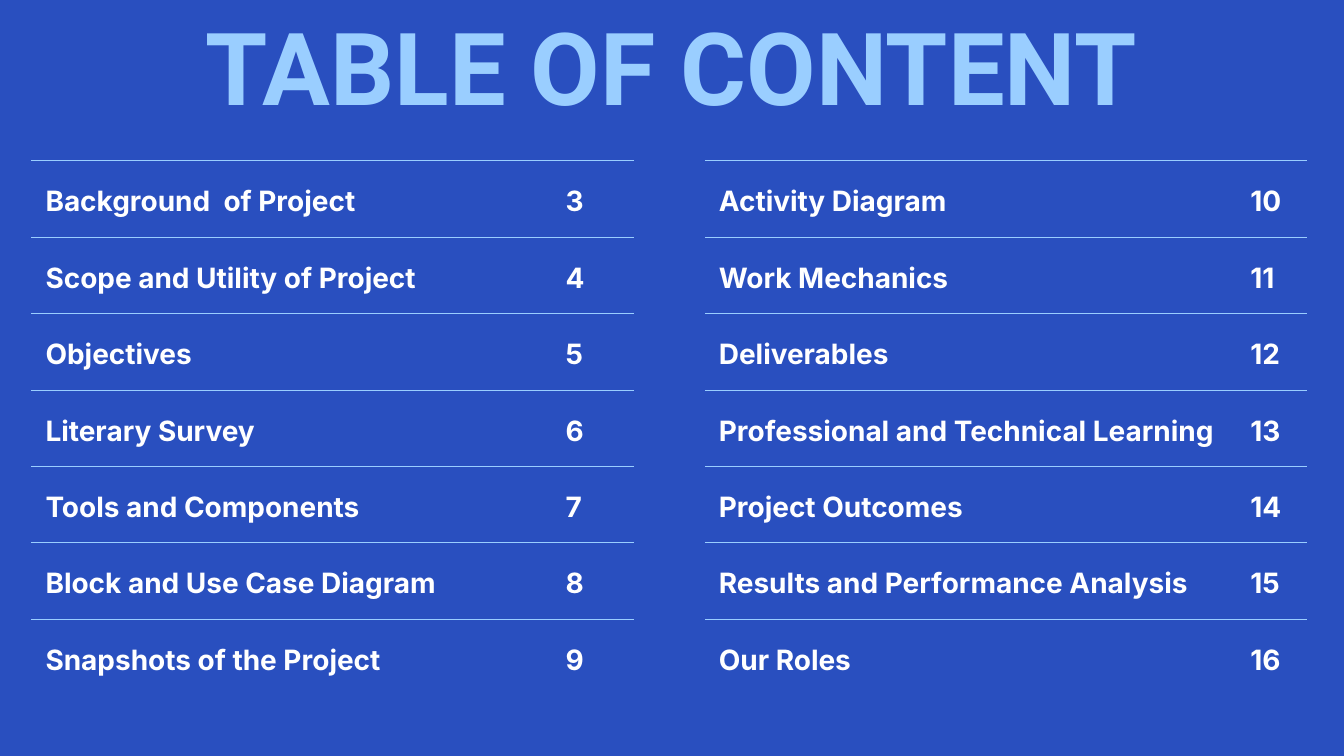
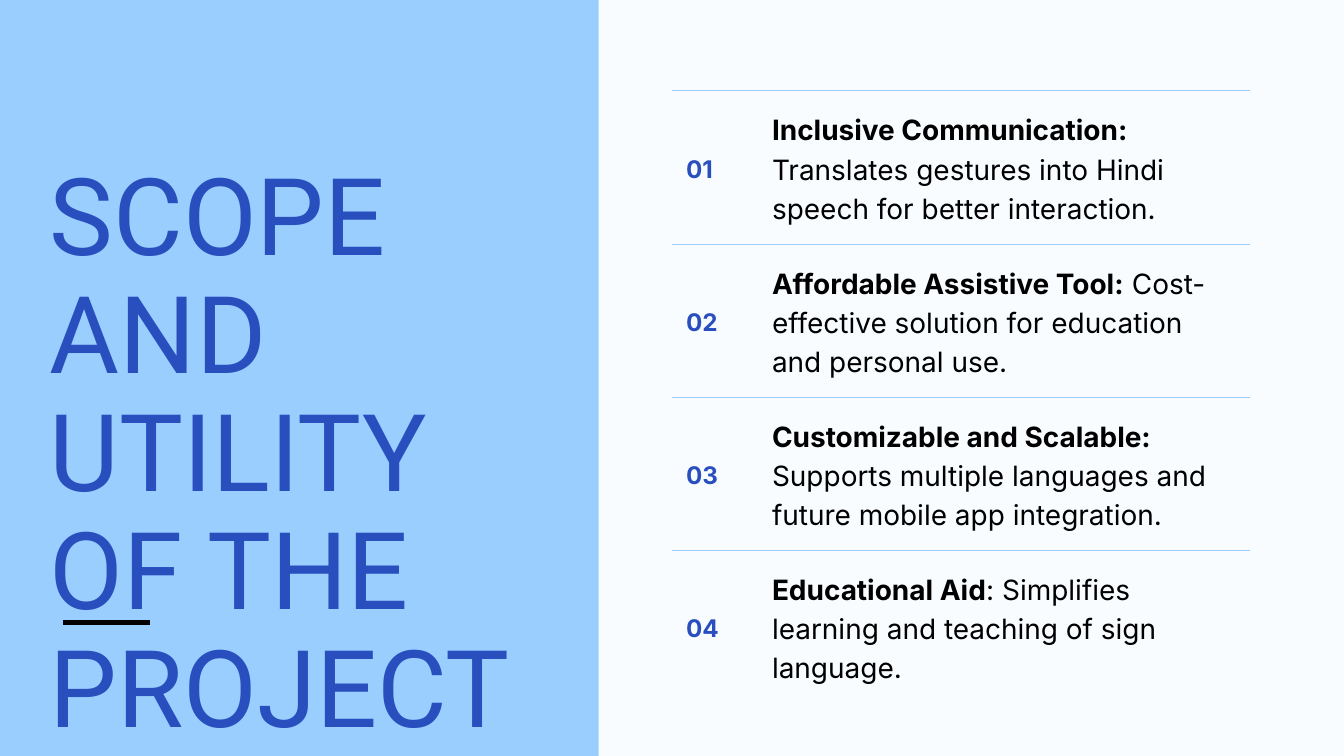
from lxml import etree
from pptx import Presentation
from pptx.dml.color import RGBColor
from pptx.enum.shapes import MSO_CONNECTOR, MSO_SHAPE
from pptx.enum.text import MSO_ANCHOR, MSO_AUTO_SIZE, PP_ALIGN
from pptx.oxml.ns import qn
from pptx.util import Cm, Pt

BLUE = RGBColor(0x29, 0x4F, 0xBF)
SKY = RGBColor(0x9A, 0xCE, 0xFF)
PALE = RGBColor(0xF9, 0xFC, 0xFF)
WHITE = RGBColor(0xFF, 0xFF, 0xFF)
BLACK = RGBColor(0x00, 0x00, 0x00)

TITLE_FONT, BODY_FONT = "Roboto", "Inter"
PAGE_WIDTH, PAGE_HEIGHT = Cm(50.8), Cm(28.58)
CELL_INSET = Cm(0.53)
BODY_SIZE, NUMBER_SIZE = 30, 26
BODY_LEADING = 1.4

FIRST_CONTENTS = [
    ("Background  of Project", 3),
    ("Scope and Utility of Project", 4),
    ("Objectives", 5),
    ("Literary Survey", 6),
    ("Tools and Components", 7),
    ("Block and Use Case Diagram", 8),
    ("Snapshots of the Project", 9),
]
SECOND_CONTENTS = [
    ("Activity Diagram", 10),
    ("Work Mechanics", 11),
    ("Deliverables", 12),
    ("Professional and Technical Learning", 13),
    ("Project Outcomes", 14),
    ("Results and Performance Analysis", 15),
    ("Our Roles", 16),
]
SCOPE_POINTS = [
    ("Inclusive Communication:",
     " Translates gestures into Hindi speech for better interaction."),
    ("Affordable Assistive Tool:",
     " Cost-effective solution for education and personal use."),
    ("Customizable and Scalable:",
     " Supports multiple languages and future mobile app integration."),
    ("Educational Aid",
     ": Simplifies learning and teaching of sign language."),
]


def write(frame, *texts, size, color, font=BODY_FONT, bold=(True, False),
          leading=BODY_LEADING, align=PP_ALIGN.LEFT):
    """Fill one paragraph with texts, each taking its own entry of bold."""
    para = frame.paragraphs[0]
    para.alignment = align
    para.line_spacing = Pt(round(size * leading, 1))
    para.space_before = Pt(0)
    for text, is_bold in zip(texts, bold):
        span = para.add_run()
        span.text = text
        span.font.name = font
        span.font.size = Pt(size)
        span.font.bold = is_bold
        span.font.color.rgb = color


def add_page(deck, background):
    page = deck.slides.add_slide(deck.slide_layouts[5])
    page.background.fill.solid()
    page.background.fill.fore_color.rgb = background
    return page


def set_title(page, text, box, **style):
    title = page.shapes.title
    title.left, title.top, title.width, title.height = box
    frame = title.text_frame
    frame.word_wrap = True
    frame.auto_size = MSO_AUTO_SIZE.NONE
    frame.vertical_anchor = MSO_ANCHOR.TOP
    frame.margin_left = frame.margin_right = 0
    frame.margin_top = frame.margin_bottom = 0
    write(frame, text, font=TITLE_FONT, leading=style.pop("leading"), **style)


def rule_cell(cell, ruled_sides):
    """Draw thin rules on the named sides of a cell and clear the others."""
    props = cell._tc.get_or_add_tcPr()
    for side in "LRTB":
        border = etree.SubElement(props, qn(f"a:ln{side}"), w=str(Pt(0.75)))
        if side in ruled_sides:
            fill = etree.SubElement(border, qn("a:solidFill"))
            etree.SubElement(fill, qn("a:srgbClr"), val=str(SKY))
        else:
            etree.SubElement(border, qn("a:noFill"))


def add_ruled_table(page, left, top, widths, row_height, rows):
    """Add a table whose cells are (texts, style) pairs, ruled above each row."""
    shape = page.shapes.add_table(len(rows), len(widths), left, top,
                                  sum(widths), row_height * len(rows))
    table = shape.table
    table.first_row = table.horz_banding = False
    for column, width in zip(table.columns, widths):
        column.width = width
    for index, row in enumerate(rows):
        table.rows[index].height = row_height
        sides = "T" if index == len(rows) - 1 else "TB"
        for cell, (texts, style) in zip(table.rows[index].cells, row):
            rule_cell(cell, sides)
            cell.fill.background()
            cell.vertical_anchor = MSO_ANCHOR.MIDDLE
            cell.margin_left = cell.margin_right = CELL_INSET
            cell.margin_top = cell.margin_bottom = CELL_INSET
            write(cell.text_frame, *texts, **style)


def add_contents_list(page, left, widths, entries):
    style = dict(size=BODY_SIZE, color=WHITE)
    rows = [[((topic,), style), ((str(number),), style)]
            for topic, number in entries]
    add_ruled_table(page, left, Cm(6.07), widths, Cm(2.89), rows)


def add_title_band(page, width):
    band = page.shapes.add_shape(MSO_SHAPE.RECTANGLE, 0, 0, width, PAGE_HEIGHT)
    band.shadow.inherit = False
    band.fill.solid()
    band.fill.fore_color.rgb = SKY
    band.line.fill.background()
    page.shapes.title.element.addprevious(band.element)


def add_accent_line(page, left, top, length):
    line = page.shapes.add_connector(MSO_CONNECTOR.STRAIGHT,
                                     left, top, left + length, top)
    line.line.color.rgb = BLACK
    line.line.width = Pt(5.25)
    etree.SubElement(line.element.spPr, qn("a:effectLst"))


def add_scope_points(page, left, top):
    number_style = dict(size=NUMBER_SIZE, color=BLUE)
    point_style = dict(size=BODY_SIZE, color=BLACK)
    rows = [[((f"{number:02}",), number_style), (point, point_style)]
            for number, point in enumerate(SCOPE_POINTS, 1)]
    add_ruled_table(page, left, top, (Cm(3.25), Cm(18.59)), Cm(5.79), rows)


def build_contents(deck):
    page = add_page(deck, BLUE)
    set_title(page, "TABLE OF CONTENT", (Cm(7.75), Cm(0.99), Cm(35.28), Cm(4.09)),
              size=108, color=SKY, leading=0.99, align=PP_ALIGN.CENTER)
    add_contents_list(page, Cm(1.19), (Cm(19.66), Cm(3.1)), FIRST_CONTENTS)
    add_contents_list(page, Cm(26.64), (Cm(20.09), Cm(2.67)), SECOND_CONTENTS)


def build_scope(deck):
    page = add_page(deck, PALE)
    add_title_band(page, Cm(22.63))
    set_title(page, "SCOPE AND UTILITY OF THE PROJECT",
              (Cm(1.88), Cm(5.99), Cm(18.87), Cm(13.46)),
              size=115, color=BLUE, leading=1.1, bold=(False,))
    add_accent_line(page, Cm(2.39), Cm(23.52), Cm(3.28))
    add_scope_points(page, Cm(25.4), Cm(3.43))


def main():
    deck = Presentation()
    deck.slide_width, deck.slide_height = PAGE_WIDTH, PAGE_HEIGHT
    build_contents(deck)
    build_scope(deck)
    deck.save("out.pptx")


if __name__ == "__main__":
    main()
